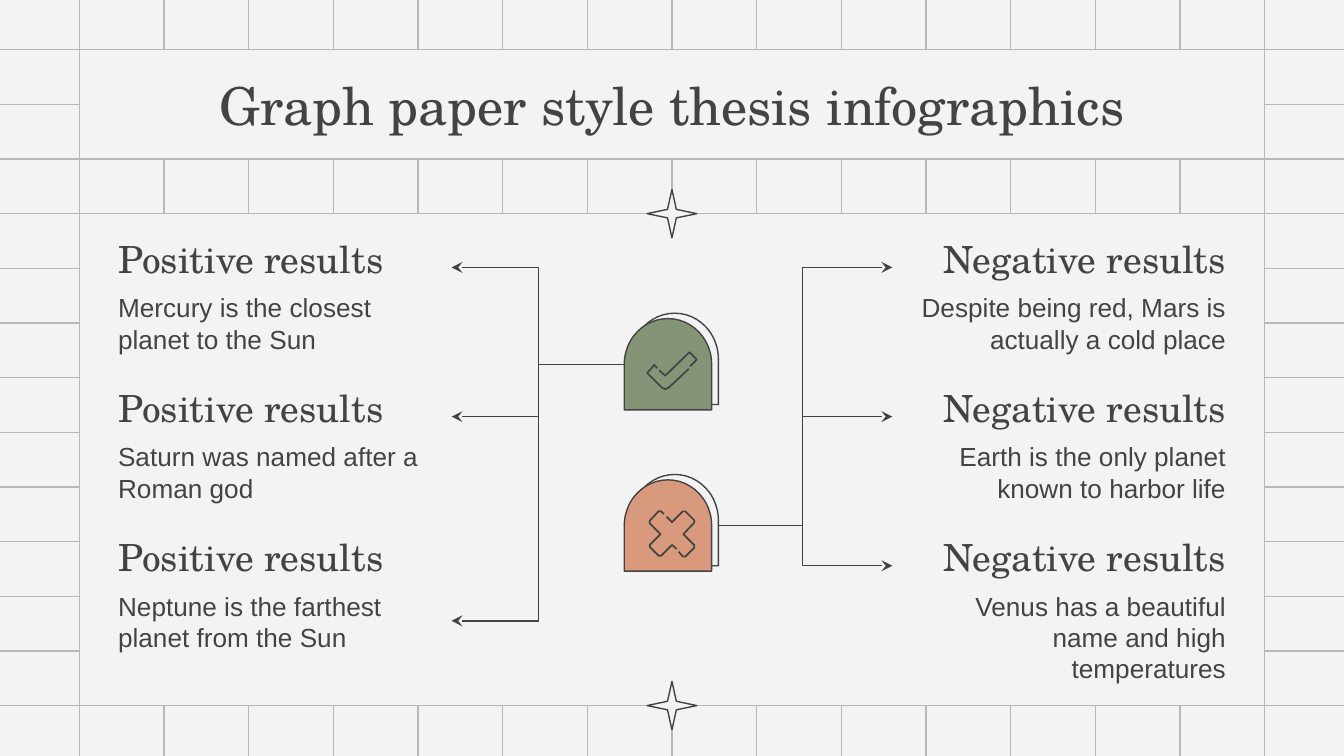
from dataclasses import dataclass
from typing import Optional

from lxml.etree import SubElement
from pptx import Presentation
from pptx.dml.color import RGBColor
from pptx.enum.shapes import MSO_CONNECTOR as Conn, MSO_SHAPE as Shape
from pptx.enum.text import MSO_ANCHOR as Anchor, PP_ALIGN as Align
from pptx.oxml.ns import qn
from pptx.util import Inches, Pt

W, H = 10, 5.625
PAPER, INK, RULE = "F3F3F3", "434343", "B7B7B7"
GREEN, ORANGE = "859477", "D9997D"
SERIF, SANS = "TeX Gyre Schola", "Arial"

# Graph paper: 14 columns by 12 rows of cells
COLS, ROWS = 14, 12
COL_W, ROW_H = 0.63, 0.4067
LEFT, TOP, BLEED = 0.59, 0.37, 0.04

# Result items: three per side, evenly spaced
ITEM_W, ITEM_TOP, ITEM_STEP = 2.58, 1.79, 1.11
HEAD_H, BODY_DY, BODY_H = 0.4, 0.28, 0.64


@dataclass
class Item:
    body: str
    arrow_dy: float = HEAD_H / 2


@dataclass
class Side:
    heading: str
    x: float
    align: Align
    arrow_x: float
    badge_x: float
    badge_y: float
    items: list[Item]


@dataclass
class Badge:
    y: float
    fill: str
    strokes: list[list[tuple[float, float]]]  # offsets from the slide's middle and y


SIDES = [
    Side("Positive results", 0.78, Align.LEFT, 3.36, 4.65, 2.71, [
        Item("Mercury is the closest planet to the Sun"),
        Item("Saturn was named after a Roman god"),
        Item("Neptune is the farthest planet from the Sun", BODY_DY + BODY_H / 2 + 0.01)]),
    Side("Negative results", 6.64, Align.RIGHT, 6.64, 5.3, 3.91, [
        Item("Despite being red, Mars is actually a cold place"),
        Item("Earth is the only planet known to harbor life"),
        Item("Venus has a beautiful name and high temperatures")]),
]

BADGES = [
    Badge(2.71, GREEN, [
        [(-0.11, 0.03), (-0.13, 0.005), (-0.185, 0.065), (-0.075, 0.175), (-0.05, 0.185),
         (-0.025, 0.175), (0.125, 0.035)],
        [(-0.095, 0.045), (-0.05, 0.085), (0.13, -0.09), (0.185, -0.035), (0.135, 0.015)]]),
    Badge(3.91, ORANGE, [
        [(-0.04, -0.065), (0, -0.025), (0.08, -0.105), (0.1, -0.105), (0.165, -0.04),
         (0.165, -0.02), (0.085, 0.065), (0.165, 0.145), (0.165, 0.165), (0.1, 0.23),
         (0.08, 0.23), (0.05, 0.195)],
        [(-0.06, -0.085), (-0.08, -0.105), (-0.1, -0.105), (-0.165, -0.035), (-0.165, -0.015),
         (-0.085, 0.065), (-0.165, 0.145), (-0.165, 0.16), (-0.1, 0.225), (-0.08, 0.225),
         (0, 0.145), (0.035, 0.175)]]),
]

prs = Presentation()
prs.slide_width, prs.slide_height = Inches(W), Inches(H)
s = prs.slides.add_slide(prs.slide_layouts[6])


def color(value: str) -> RGBColor:
    return RGBColor.from_string(value)


def col(n: float) -> float:
    return LEFT + n * COL_W


def row(n: float) -> float:
    return TOP + n * ROW_H


def style(sp, line: str, fill: Optional[str] = None, width: float = 0.75) -> None:
    sp.shadow.inherit = False
    sp.line.color.rgb = color(line)
    sp.line.width = Pt(width)
    if fill:
        sp.fill.solid()
        sp.fill.fore_color.rgb = color(fill)
    else:
        sp.fill.background()


def shape(kind: Shape, x: float, y: float, w: float, h: float, line: str, fill: str = PAPER):
    sp = s.shapes.add_shape(kind, *map(Inches, (x, y, w, h)))
    style(sp, line, fill)
    return sp


def centred(kind: Shape, cx: float, cy: float, w: float, h: float, fill: str = PAPER):
    return shape(kind, cx - w / 2, cy - h / 2, w, h, INK, fill)


def connector(kind: Conn, x1: float, y1: float, x2: float, y2: float, line: str,
              arrow: bool = False) -> None:
    sp = s.shapes.add_connector(kind, *map(Inches, (x1, y1, x2, y2)))
    sp.line.color.rgb = color(line)
    sp.line.width = Pt(0.75)
    if arrow:
        SubElement(sp.line._get_or_add_ln(), qn("a:tailEnd"), type="stealth")
    SubElement(sp._element.spPr, qn("a:effectLst"))


def write(sp, text: str, font: str, size: float, align: Align, anchor: Anchor) -> None:
    tf = sp.text_frame
    frame = dict(word_wrap=True, vertical_anchor=anchor)
    frame |= {f"margin_{side}": Inches(0.1) for side in ("left", "right", "top", "bottom")}
    for name, value in frame.items():
        setattr(tf, name, value)
    p = tf.paragraphs[0]
    p.alignment = align
    r = p.add_run()
    r.text = text
    for name, value in dict(name=font, size=Pt(size), bold=False).items():
        setattr(r.font, name, value)
    r.font.color.rgb = color(INK)


def text_box(x: float, y: float, w: float, h: float, *content) -> None:
    write(s.shapes.add_textbox(*map(Inches, (x, y, w, h))), *content)


def draw_side(side: Side) -> None:
    for i, item in enumerate(side.items):
        y = ITEM_TOP + i * ITEM_STEP
        text_box(side.x, y, ITEM_W, HEAD_H, side.heading, SERIF, 20, side.align, Anchor.BOTTOM)
        text_box(side.x, y + BODY_DY, ITEM_W, BODY_H, item.body, SANS, 14, side.align, Anchor.TOP)
        connector(Conn.ELBOW, side.badge_x, side.badge_y, side.arrow_x, y + item.arrow_dy,
                  INK, arrow=True)


def draw_badge(badge: Badge) -> None:
    # Pale arch behind, coloured arch in front
    for cx, cy, fill in ((5.02, badge.y - 0.04, PAPER), (4.97, badge.y, badge.fill)):
        centred(Shape.FLOWCHART_DELAY, cx, cy, 0.68, 0.65, fill).rotation = 270
    # Icon, in thousandths of an inch
    for stroke in badge.strokes:
        points = [((W / 2 + dx) * 1000, (badge.y + dy) * 1000) for dx, dy in stroke]
        builder = s.shapes.build_freeform(*points[0], scale=Inches(1) / 1000)
        builder.add_line_segments(points[1:], close=False)
        style(builder.convert_to_shape(), INK, width=0.9)


# Graph paper
s.background.fill.solid()
s.background.fill.fore_color.rgb = color(PAPER)
for n in range(COLS + 1):
    connector(Conn.STRAIGHT, col(n), -BLEED, col(n), H + BLEED, RULE)
for n in range(ROWS + 1):
    connector(Conn.STRAIGHT, -BLEED, row(n), W + BLEED, row(n), RULE)

# Content panel and title
shape(Shape.RECTANGLE, col(0), row(3), COLS * COL_W, 9 * ROW_H, RULE)
title = shape(Shape.RECTANGLE, col(0), row(0), COLS * COL_W, 2 * ROW_H, RULE)
write(title, "Graph paper style thesis infographics", SERIF, 28, Align.CENTER, Anchor.MIDDLE)

# Results with their arrows, then the badges over the line ends
for side in SIDES:
    draw_side(side)
for badge in BADGES:
    draw_badge(badge)

# Stars on the panel's top and bottom edges
for n in (3, ROWS):
    centred(Shape.STAR_4_POINT, col(COLS / 2), row(n), 0.37, 0.36).adjustments[0] = 0.125

prs.save("out.pptx")
